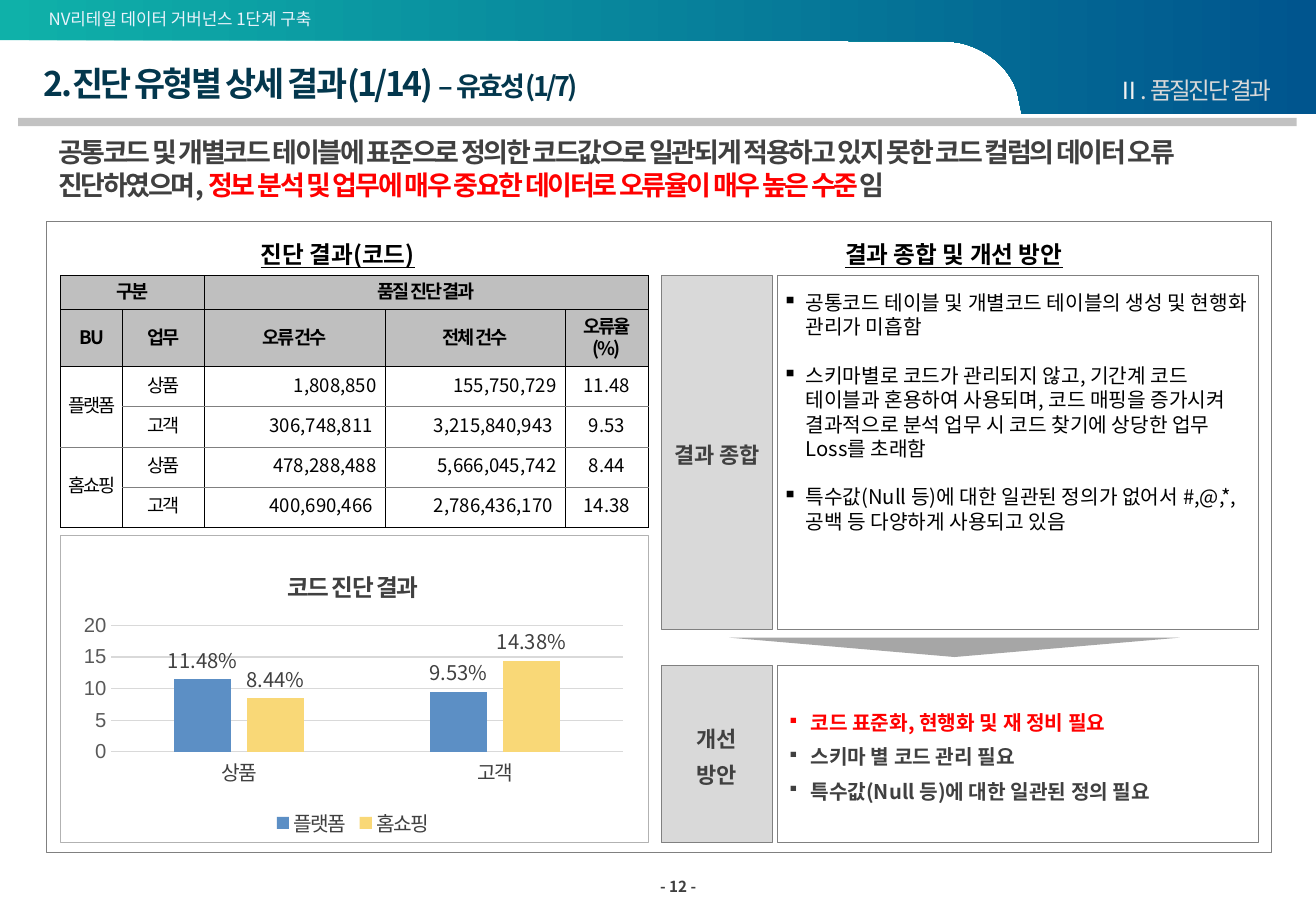
from lxml.etree import SubElement as Sub
from pptx import Presentation
from pptx.chart.data import CategoryChartData as Data
from pptx.dml.color import RGBColor as Rgb
from pptx.enum.chart import XL_CHART_TYPE as Kind, XL_LABEL_POSITION as Spot
from pptx.enum.chart import XL_LEGEND_POSITION as Side, XL_TICK_MARK as Tick
from pptx.enum.shapes import MSO_SHAPE as Form
from pptx.enum.text import MSO_ANCHOR as Anchor, PP_ALIGN as Align
from pptx.oxml import parse_xml
from pptx.oxml.ns import nsdecls, qn
from pptx.util import Inches, Pt

HUES = {
    "white": "FFFFFF", "black": "000000", "dark": "404040", "navy": "03374D",
    "red": "FF0000", "ice": "EAF3FC", "pale": "F2F2F2", "soft": "D9D9D9",
    "bar": "C2C2C2", "head": "BFBFBF", "edge": "808080", "frame": "B2B2B2",
    "arrow": "A6A6A6", "axis": "595959", "teal": "0FB1A9", "blue": "00558E",
    "first": "5C8FC5", "next": "F9D877",
}
FONT = "Noto Sans CJK KR"
COLS, ROWS = 108.3, 75
CELL = Inches(0.1)
MID = Anchor.MIDDLE


def grid(*spots):
    return [round(spot * CELL) for spot in spots]


def tint(name):
    return Rgb.from_string(HUES[name])


def style(font, size, hue, bold=False, gap=0, under=False, name=FONT):
    font.size, font.bold, font.name = Pt(size), bold, name
    font.color.rgb = tint(hue)
    if under:
        font.underline = True
    props = font._rPr
    props.set("spc", str(round(gap * 100)))
    Sub(props, qn("a:ea")).set("typeface", name)


def mark(para, share):
    props = para._p.get_or_add_pPr()
    props.set("marL", str(Inches(0.19)))
    props.set("indent", str(-Inches(0.19)))
    Sub(props, qn("a:buSzPct")).set("val", str(share * 1000))
    Sub(props, qn("a:buChar")).set("char", "▪")


def write(frame, paras, size, hue="dark", bold=False, gap=0, under=False,
          align=Align.LEFT, lead=1.2, before=0, after=0, bullet=0,
          pads=(0, 0), anchor=MID, wrap=True):
    frame.margin_left = frame.margin_right = Inches(pads[0])
    frame.margin_top = frame.margin_bottom = Inches(pads[1])
    frame.vertical_anchor, frame.word_wrap = anchor, wrap
    for rank, parts in enumerate(paras):
        para = frame.add_paragraph() if rank else frame.paragraphs[0]
        para.alignment, para.line_spacing = align, Pt(size * lead)
        para.space_before, para.space_after = Pt(before), Pt(after)
        if bullet:
            mark(para, bullet)
        for text, *look in [(parts,)] if isinstance(parts, str) else parts:
            run = para.add_run()
            run.text = text
            tone, points = look or (hue, size)
            style(run.font, points, tone, bold, gap, under)


def label(slide, spot, paras, size, **look):
    write(slide.shapes.add_textbox(*grid(*spot)).text_frame, paras, size, **look)


def block(slide, spot, fill=None, line=None, width=0.5, form=Form.RECTANGLE):
    shape = slide.shapes.add_shape(form, *grid(*spot))
    shape.shadow.inherit = False
    if fill:
        shape.fill.solid()
        shape.fill.fore_color.rgb = tint(fill)
    else:
        shape.fill.background()
    if line:
        shape.line.color.rgb, shape.line.width = tint(line), Pt(width)
    else:
        shape.line.fill.background()
    return shape


def curve(ends, steps=10):
    for step in range(1, steps + 1):
        t = step / steps
        rates = (1 - t) ** 3, 3 * t * (1 - t) ** 2, 3 * t * t * (1 - t), t ** 3
        yield tuple(sum(r * p[axis] for r, p in zip(rates, ends)) for axis in (0, 1))


def banner(slide):
    bend = [(83.7, 7.5), (83, 5.5), (81.2, 4), (78.9, 3.5)]
    spots = [(COLS, 0), (COLS, 9.4), (84.1, 9.4), bend[0], *curve(bend),
             (77.9, 3.4), (34.6, 3.3), (0, 3.3)]
    pen = slide.shapes.build_freeform(0, 0)
    pen.add_line_segments([grid(*spot) for spot in spots], close=True)
    shape = pen.convert_to_shape()
    shape.shadow.inherit = False
    shape.line.fill.background()
    shape.fill.gradient()
    shape.fill.gradient_angle = 0
    for stop, hue in zip(shape.fill.gradient_stops, ("teal", "blue")):
        stop.color.rgb = tint(hue)


def border(cell, row):
    last = row + cell.span_height - 1
    sides = {"L": "black", "R": "black",
             "T": "black" if row <= 2 else "edge",
             "B": "black" if last in (0, 1, 5) else "edge"}
    for side, hue in sides.items():
        line = Sub(cell._tc.get_or_add_tcPr(), qn("a:ln" + side), w=str(Pt(0.5)))
        Sub(Sub(line, qn("a:solidFill")), qn("a:srgbClr"), val=HUES[hue])


def table(slide):
    rows = [
        ["구분", "", "품질 진단 결과", "", ""],
        ["BU", "업무", "오류 건수", "전체 건수", "오류율(%)"],
        ["플랫폼", "상품", "1,808,850", "155,750,729", "11.48"],
        ["", "고객", "306,748,811", "3,215,840,943", "9.53"],
        ["홈쇼핑", "상품", "478,288,488", "5,666,045,742", "8.44"],
        ["", "고객", "400,690,466", "2,786,436,170", "14.38"],
    ]
    made = slide.shapes.add_table(6, 5, *grid(5, 22.7, 48.4, 20.7)).table
    made.first_row = made.horz_banding = False
    for col, width in zip(made.columns, grid(5.1, 6.7, 14.9, 14.8, 6.9)):
        col.width = width
    for row, height in zip(made.rows, grid(2.8, 4.7, 3.3, 3.3, 3.3, 3.3)):
        row.height = height
    for top, left, low, right in ((0, 0, 0, 1), (0, 2, 0, 4), (2, 0, 3, 0), (4, 0, 5, 0)):
        made.cell(top, left).merge(made.cell(low, right))
    for r, texts in enumerate(rows):
        for c, text in enumerate(texts):
            cell = made.cell(r, c)
            if cell.is_spanned:
                continue
            head, count = r < 2, r > 1 and c > 1
            border(cell, r)
            if head:
                cell.fill.solid()
                cell.fill.fore_color.rgb = tint("head")
            else:
                cell.fill.background()
            write(cell.text_frame, [text], 11, hue="black", bold=head,
                  gap=0 if count else -1.2, before=0 if c == 0 else 2,
                  align=Align.RIGHT if count and c < 4 else Align.CENTER,
                  pads=(0 if c == 0 else 0.07 if count and r % 2 == 0 else 0.1, 0))
            cell.vertical_anchor = MID
            cell.margin_left = cell.margin_right = cell.text_frame.margin_left
            cell.margin_top = cell.margin_bottom = 0


def graph(slide):
    data = Data(number_format='0.00"%"')
    data.categories = ["상품", "고객"]
    data.add_series("플랫폼", (11.48, 9.53))
    data.add_series("홈쇼핑", (8.44, 14.38))
    chart = slide.shapes.add_chart(
        Kind.COLUMN_CLUSTERED, *grid(5.9, 45.2, 46.3, 24.2), data).chart
    style(chart.font, 10, "black", name="Arial")
    title = chart.chart_title.text_frame
    title.text = "코드 진단 결과"
    style(title.paragraphs[0].runs[0].font, 14, "dark", True, -1)
    chart.has_legend = True
    chart.legend.position, chart.legend.include_in_layout = Side.BOTTOM, False
    style(chart.legend.font, 12, "dark", gap=-1)
    cats, vals = chart.category_axis, chart.value_axis
    style(cats.tick_labels.font, 12, "dark", gap=-1)
    style(vals.tick_labels.font, 12, "axis", name="Arial")
    vals.minimum_scale, vals.maximum_scale, vals.major_unit = 0, 20, 5
    vals.tick_labels.number_format = "General"
    vals.tick_labels.number_format_is_linked = False
    cats.major_tick_mark = vals.major_tick_mark = Tick.NONE
    vals.format.line.fill.background()
    for line in (cats.format.line, vals.major_gridlines.format.line):
        line.color.rgb, line.width = tint("soft"), Pt(0.75)
    plot = chart.plots[0]
    plot.gap_width, plot.overlap, plot.vary_by_categories = 219, -27, False
    for series, hue in zip(plot.series, ("first", "next")):
        series.format.fill.solid()
        series.format.fill.fore_color.rgb = tint(hue)
        tags = series.data_labels
        tags.show_value, tags.position = True, Spot.OUTSIDE_END
        tags.number_format, tags.number_format_is_linked = '0.00"%"', False
        style(tags.font, 12, "dark")
    area = chart.element.chart.plotArea
    for old in area.findall(qn("c:layout")):
        area.remove(old)
    sizes = {"x": 0.07, "y": 0.26, "w": 0.91, "h": 0.43}
    tags = "".join(f'<c:{key} val="{size}"/>' for key, size in sizes.items())
    area.insert(0, parse_xml(
        f'<c:layout {nsdecls("c")}><c:manualLayout><c:layoutTarget val="inner"/>'
        f'<c:xMode val="edge"/><c:yMode val="edge"/>{tags}</c:manualLayout></c:layout>'))


def main():
    """Build the diagnosis result slide and save it."""
    deck = Presentation()
    deck.slide_width, deck.slide_height = grid(COLS, ROWS)
    slide = deck.slides.add_slide(deck.slide_layouts[6])
    banner(slide)
    block(slide, (1.5, 9.7, 105.2, 0.7), "bar")
    label(slide, (4, 0.7, 32.2, 1.7), ["NV리테일 데이터 거버넌스 1단계 구축"], 10, hue="ice")
    label(slide, (52.8, 71.8, 5.3, 2.3), ["- 12 -"], 9, bold=True,
          align=Align.RIGHT, pads=(0.08, 0.04), wrap=False)
    label(slide, (3.6, 5.5, 93.4, 3),
          [[("2.진단 유형별 상세 결과(1/14) ", "navy", 20), ("– 유효성(1/7)", "navy", 16)]],
          20, bold=True, gap=-1.5, lead=1.08, anchor=Anchor.TOP)
    block(slide, (5, 44.1, 48.4, 25.3), "white", "frame", 0.75)
    table(slide)
    label(slide, (80.7, 6.2, 23.9, 2.4),
          [[("Ⅱ", "pale", 14), (". 품질진단 결과", "soft", 14)]], 14, gap=-1.5,
          align=Align.RIGHT, after=3, anchor=Anchor.BOTTOM)
    block(slide, (3.8, 18.2, 100.8, 52), line="edge")
    for left, text in ((16, "진단 결과(코드)"), (66.7, "결과 종합 및 개선 방안")):
        label(slide, (left, 19.3, 23.6, 3.4), [text], 14, hue="black", bold=True,
              under=True, align=Align.CENTER, pads=(0.1, 0.05), anchor=Anchor.TOP)
    sums = block(slide, (64, 22.7, 39.6, 29.1), "white", "edge")
    write(sums.text_frame, [
        "공통코드 테이블 및 개별코드 테이블의 생성 및 현행화 관리가 미흡함",
        "스키마별로 코드가 관리되지 않고, 기간계 코드 테이블과 혼용하여 사용되며, "
        "코드 매핑을 증가시켜 결과적으로 분석 업무 시 코드 찾기에 상당한 업무 Loss를 초래함",
        "특수값(Null 등)에 대한 일관된 정의가 없어서 #,@,*,공백 등 다양하게 사용되고 있음",
    ], 12, hue="black", after=14.4, bullet=100, pads=(0.04, 0.12), anchor=Anchor.TOP)
    plans = block(slide, (64, 54.8, 39.6, 14.6), "white", "edge")
    write(plans.text_frame, [
        [("코드 표준화, 현행화 및 재 정비 필요", "red", 12)],
        "스키마 별 코드 관리 필요",
        "특수값(Null 등)에 대한 일관된 정의 필요",
    ], 12, bold=True, lead=1.44, before=3, bullet=80, pads=(0.08, 0.04))
    for top, tall, words in ((22.7, 29.1, ["결과 종합"]), (54.8, 14.6, ["개선", "방안"])):
        tab = block(slide, (54.4, top, 9.2, tall), "soft", "edge")
        write(tab.text_frame, words, 13, bold=True, align=Align.CENTER,
              lead=1.44, before=3, pads=(0.08, 0.04))
    arrow = block(slide, (60, 52.5, 37.1, 1.6), "arrow", form=Form.ISOSCELES_TRIANGLE)
    arrow.element.spPr.xfrm.set("flipV", "1")
    label(slide, (3.8, 10.7, 100.8, 6.3), [[
        ("공통코드 및 개별코드 테이블에 표준으로 정의한 코드값으로 일관되게 적용하고 있지 못한 "
         "코드 컬럼의 데이터 오류 진단하였으며, ", "dark", 16),
        ("정보 분석 및 업무에 매우 중요한 데이터로 오류율이 매우 높은 수준", "red", 16),
        ("임", "dark", 16),
    ]], 16, bold=True, gap=-1.3, pads=(0.1, 0.05), anchor=Anchor.TOP)
    graph(slide)
    deck.save("out.pptx")


if __name__ == "__main__":
    main()
